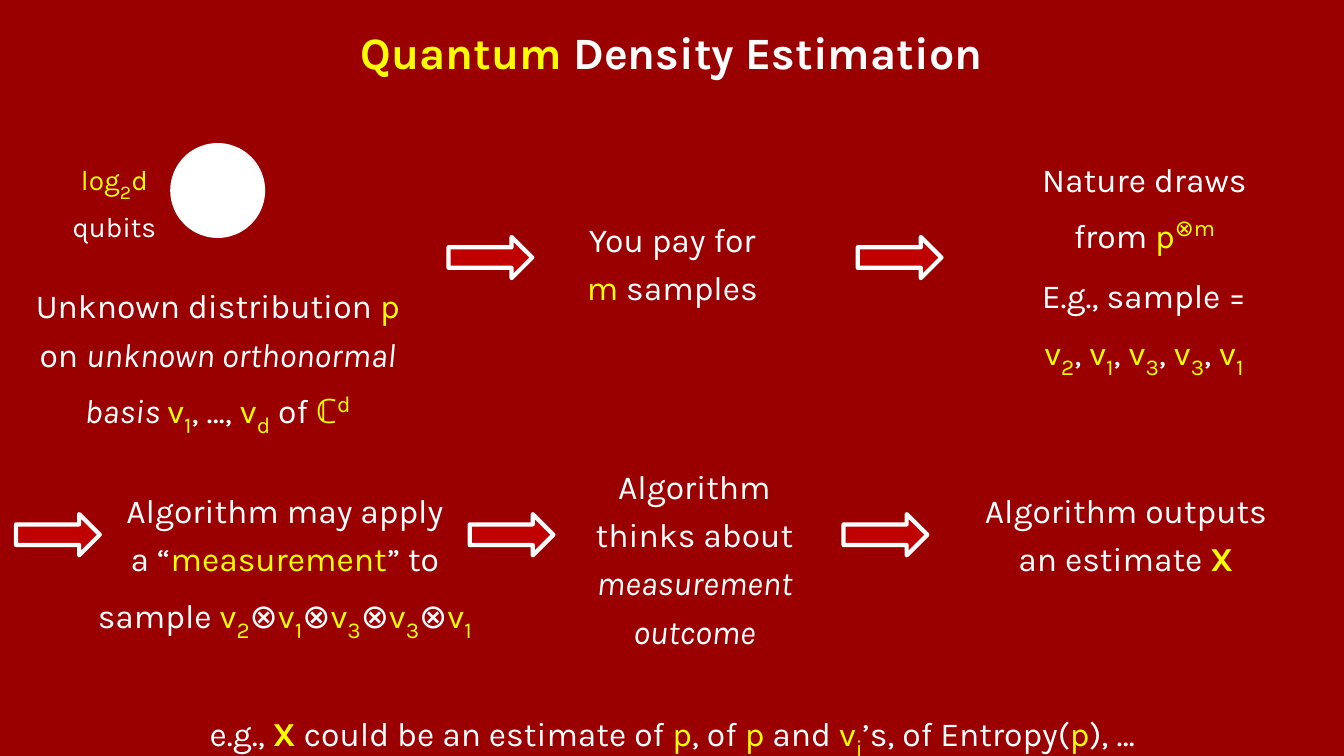
import pptx
import pptx.util
import pptx.dml.color
import pptx.enum.shapes
import pptx.enum.text
from dataclasses import dataclass

Pt = pptx.util.Pt
Shape = pptx.enum.shapes.MSO_SHAPE


def color(code):
    return pptx.dml.color.RGBColor.from_string(code)


@dataclass
class Theme:
    back: str = "9B0000"
    text: str = "FFFFFF"
    key: str = "FFFF00"
    arrow: str = "C00000"
    font: str = "Karla"
    head: int = 32
    body: int = 24
    label: int = 20
    index: int = 4  # points added to raised and lowered text
    line: int = 3
    space: float = 1.2


class Page:
    """Text marks: [key words], ~italic~, *bold*, _ and ^ up to the next ]."""

    def __init__(self, deck, theme):
        self.theme = theme
        self.slide = deck.slides.add_slide(deck.slide_layouts[6])
        fill = self.slide.background.fill
        fill.solid()
        fill.fore_color.rgb = color(theme.back)

    def shape(self, kind, left, top, width, height, fill):
        item = self.slide.shapes.add_shape(
            kind, Pt(left), Pt(top), Pt(width), Pt(height))
        item.shadow.inherit = False
        item.fill.solid()
        item.fill.fore_color.rgb = color(fill)
        item.line.color.rgb = color(self.theme.text)
        item.line.width = Pt(self.theme.line)

    def arrow(self, left, top):
        self.shape(Shape.RIGHT_ARROW, left, top, 59.8, 29.5, self.theme.arrow)

    def text(self, left, top, width, height, *paras, size=None, wrap=False):
        box = self.slide.shapes.add_textbox(
            Pt(left), Pt(top), Pt(width), Pt(height))
        frame = box.text_frame
        frame.word_wrap = wrap
        frame.auto_size = pptx.enum.text.MSO_AUTO_SIZE.SHAPE_TO_FIT_TEXT
        for count, words in enumerate(paras):
            para = frame.add_paragraph() if count else frame.paragraphs[0]
            para.alignment = pptx.enum.text.PP_ALIGN.CENTER
            para.line_spacing = self.theme.space
            para.font.name = self.theme.font
            para.font.size = Pt(size or self.theme.body)
            para.font.color.rgb = color(self.theme.text)
            self.runs(para, words)

    def runs(self, para, words):
        key = bold = slant = False
        base, part = 0, ""
        for char in words + "\0":
            if char not in "[]~*_^\n\0":
                part += char
                continue
            if part:
                self.run(para, part, key, bold, slant, base)
                part = ""
            if char == "\n":
                para.add_line_break()
            elif char in "[]":
                key, base = char == "[", 0
            elif char in "_^":
                base = -25 if char == "_" else 30
            elif char == "~":
                slant = not slant
            elif char == "*":
                bold = not bold

    def run(self, para, part, key, bold, slant, base):
        run = para.add_run()
        run.text = part
        if key:
            run.font.color.rgb = color(self.theme.key)
        if bold:
            run.font.bold = True
        if slant:
            run.font.italic = True
        if base:
            run.font.size = para.font.size + Pt(self.theme.index)
            run._r.get_or_add_rPr().set("baseline", str(base * 1000))


def main():
    deck = pptx.Presentation()
    deck.slide_width, deck.slide_height = Pt(960), Pt(540)
    theme = Theme()
    page = Page(deck, theme)

    # Title
    page.text(211, 6.5, 537.8, 49.7, "*[Quantum] Density Estimation*",
              size=theme.head)

    # Top row: unknown state, payment, samples
    page.text(-47.5, 102.2, 258.5, 62.6, "[log_2][d]\nqubits",
              size=theme.label, wrap=True)
    page.shape(Shape.OVAL, 123.1, 103.7, 64.8, 64.8, theme.text)
    page.text(-4.3, 194.4, 319.7, 114.5, "Unknown distribution [p]",
              "on ~unknown orthonormal\nbasis ~[v_1], …, [v_d] of [ℂ^d]")
    page.text(403.9, 146.9, 152.6, 74.2, "You pay for\n[m] samples")
    page.text(728.6, 104.4, 177.8, 74.2, "Nature draws\nfrom [p^⊗m]")
    draws = [f"[v_{index}]" for index in (2, 1, 3, 3, 1)]
    page.text(710.6, 187.2, 213.1, 74.2,
              "E.g., sample =\n" + ", ".join(draws))

    # Bottom row: measurement, thought, output
    page.text(41.8, 340.6, 323.3, 108.7,
              "Algorithm may apply\na “[measurement]” to\nsample "
              + "⊗".join(draws))
    page.text(403.9, 323.3, 184.3, 144,
              "Algorithm\nthinks about\n~measurement\noutcome~")
    page.text(687.6, 340.6, 233.3, 74.2,
              "Algorithm outputs\nan estimate *[X]*")

    # Arrows between the steps
    for top, lefts in ((169.2, (320.4, 612.7)),
                       (367.2, (11.5, 335.5, 602.6))):
        for left in lefts:
            page.arrow(left, top)

    # Closing example
    page.text(87.8, 493.9, 784.8, 38.9,
              "e.g., *[X]* could be an estimate of [p], of [p] and "
              "[v_i]’s, of Entropy([p]), …")

    deck.save("out.pptx")


if __name__ == "__main__":
    main()
